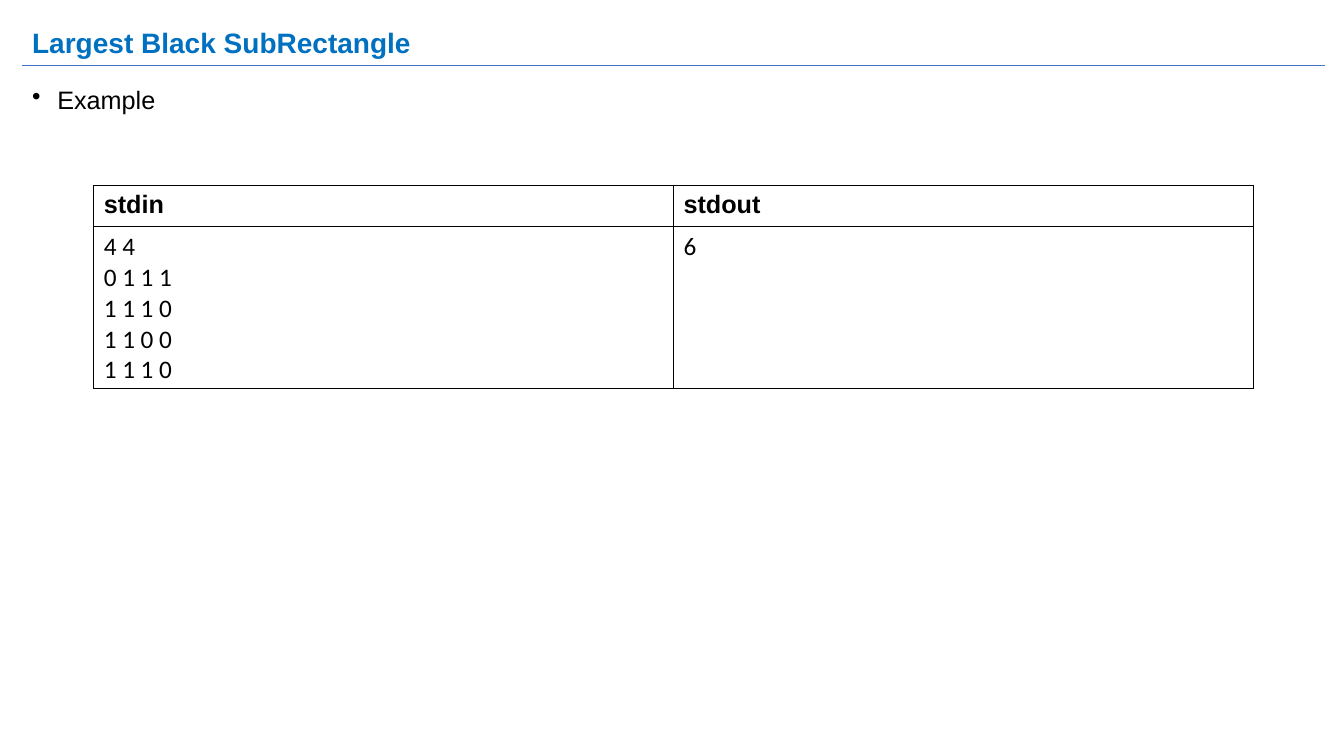
from lxml.etree import SubElement
from pptx import Presentation
from pptx.dml.color import RGBColor
from pptx.enum.shapes import MSO_CONNECTOR
from pptx.enum.text import MSO_ANCHOR
from pptx.oxml.ns import qn
from pptx.util import Inches, Pt

COLORS = {"title": "0070C0", "text": "000000", "rule": "4472C4",
          "border": "000000", "cell": "FFFFFF"}


def style(paragraph, size, color, face="Arial", bold=False):
    font = paragraph.font
    font.size, font.name, font.bold = Pt(size), face, bold
    font.color.rgb = RGBColor.from_string(COLORS[color])


def add_text(top, height, words, size, color, bold=False):
    box = slide.shapes.add_textbox(LEFT, Inches(top), WIDTH, Inches(height))
    box.text_frame.word_wrap = True
    paragraph = box.text_frame.paragraphs[0]
    paragraph.text = words
    paragraph.line_spacing = 0.9
    style(paragraph, size, color, bold=bold)
    return box.text_frame


deck = Presentation()
deck.slide_width, deck.slide_height = Inches(13.33), Inches(7.5)
slide = deck.slides.add_slide(deck.slide_layouts[6])
LEFT, WIDTH = Inches(0.22), Inches(12.92)

heading = add_text(0.15, 0.59, "Largest Black SubRectangle", 20, "title", bold=True)
heading.vertical_anchor = MSO_ANCHOR.MIDDLE

samples = [["stdin", "stdout"],
           ["4 4\n0 1 1 1\n1 1 1 0\n1 1 0 0\n1 1 1 0", "6"]]
example = slide.shapes.add_table(2, 2, Inches(0.93), Inches(1.84),
                                 Inches(11.5), Inches(2.01)).table
example.rows[0].height, example.rows[1].height = Inches(0.41), Inches(1.6)
for row, texts in enumerate(samples):
    for column, words in enumerate(texts):
        cell = example.cell(row, column)
        cell.text = words
        for paragraph in cell.text_frame.paragraphs:
            style(paragraph, 18, "text", "Calibri" if row else "Arial", row == 0)
        properties = cell._tc.get_or_add_tcPr()
        for side in ("a:lnL", "a:lnR", "a:lnT", "a:lnB"):
            border = SubElement(properties, qn(side), w=str(Pt(1)))
            fill = SubElement(border, qn("a:solidFill"))
            SubElement(fill, qn("a:srgbClr"), val=COLORS["border"])
        cell.fill.solid()
        cell.fill.fore_color.rgb = RGBColor.from_string(COLORS["cell"])

rule = slide.shapes.add_connector(MSO_CONNECTOR.STRAIGHT, LEFT, Inches(0.65),
                                  LEFT + WIDTH, Inches(0.65))
rule.line.color.rgb = RGBColor.from_string(COLORS["rule"])
rule.line.width = Pt(0.75)
SubElement(rule._element.spPr, qn("a:effectLst"))

topic = add_text(0.82, 0.45, "Example", 18, "text")
bullet = topic.paragraphs[0]._p.get_or_add_pPr()
bullet.set("marL", str(Inches(0.25)))
bullet.set("indent", str(-Inches(0.25)))
mark = bullet.makeelement(qn("a:buChar"), {"char": "•"})
bullet.find(qn("a:defRPr")).addprevious(mark)

deck.save("out.pptx")
